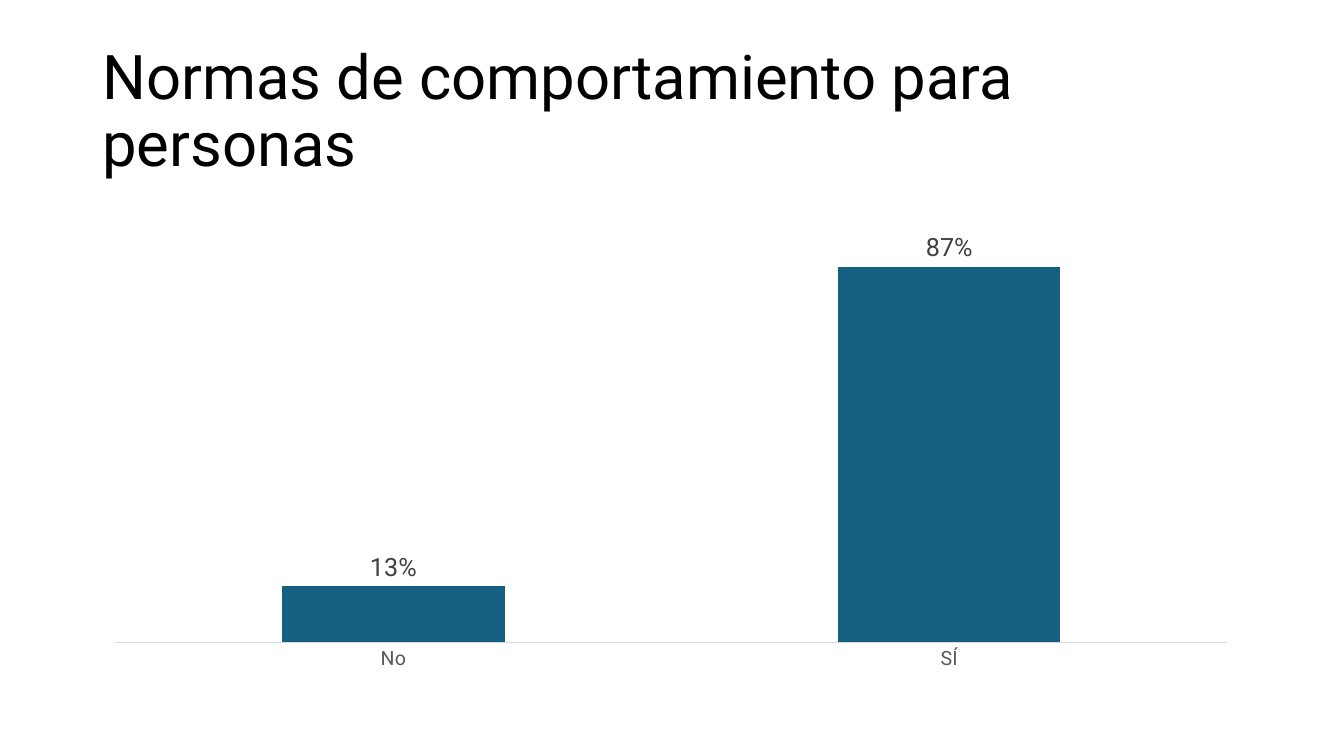
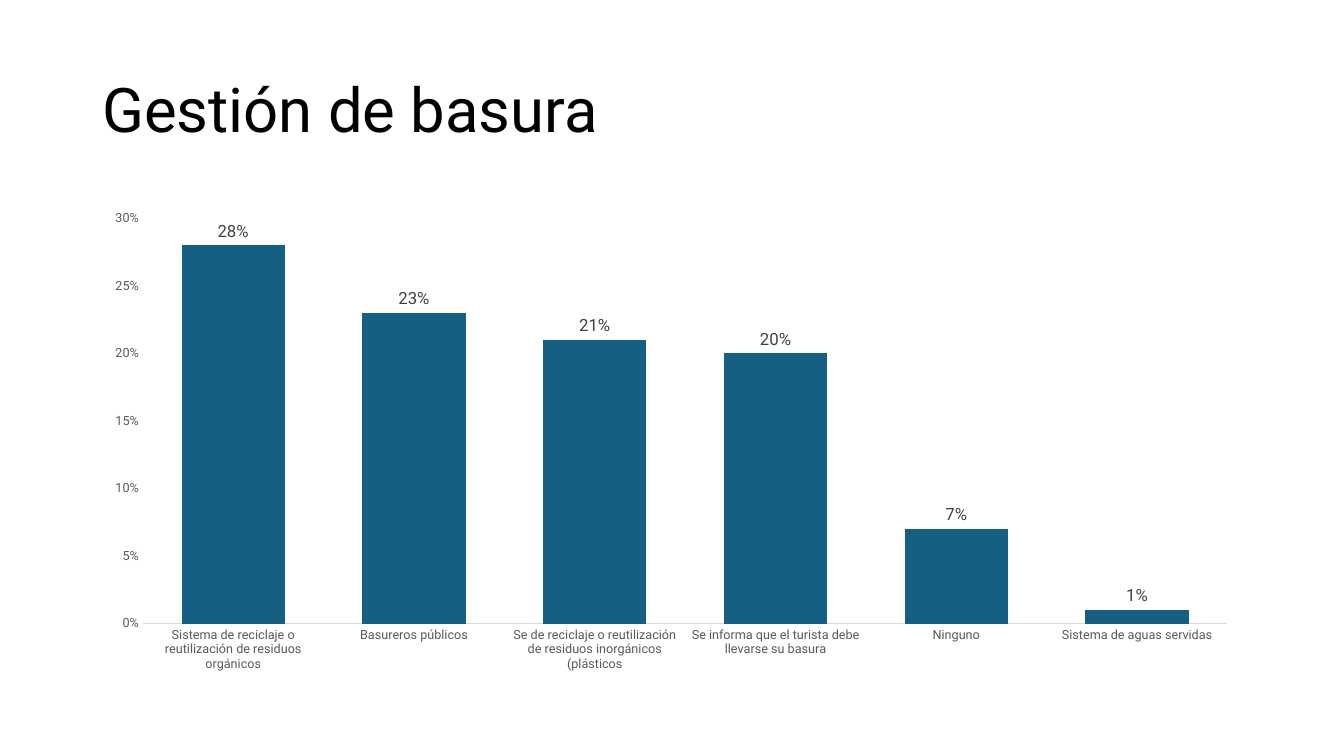
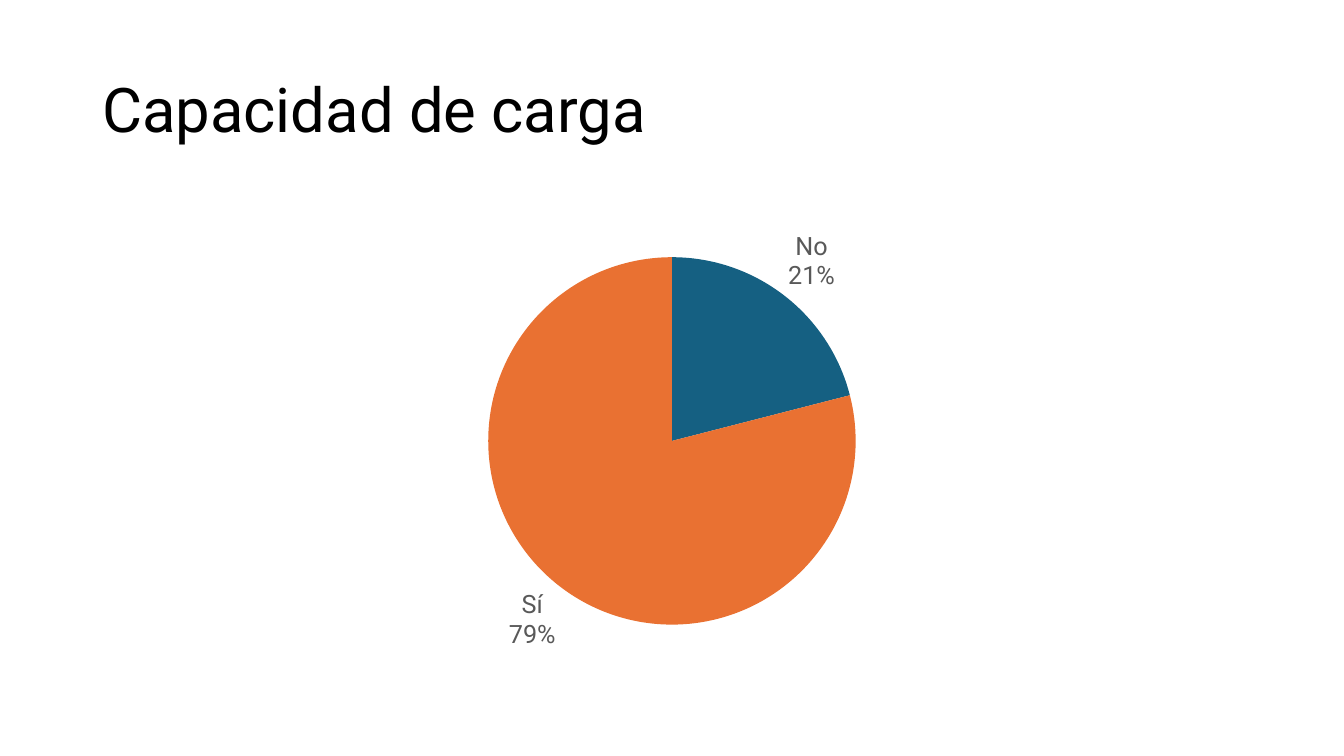
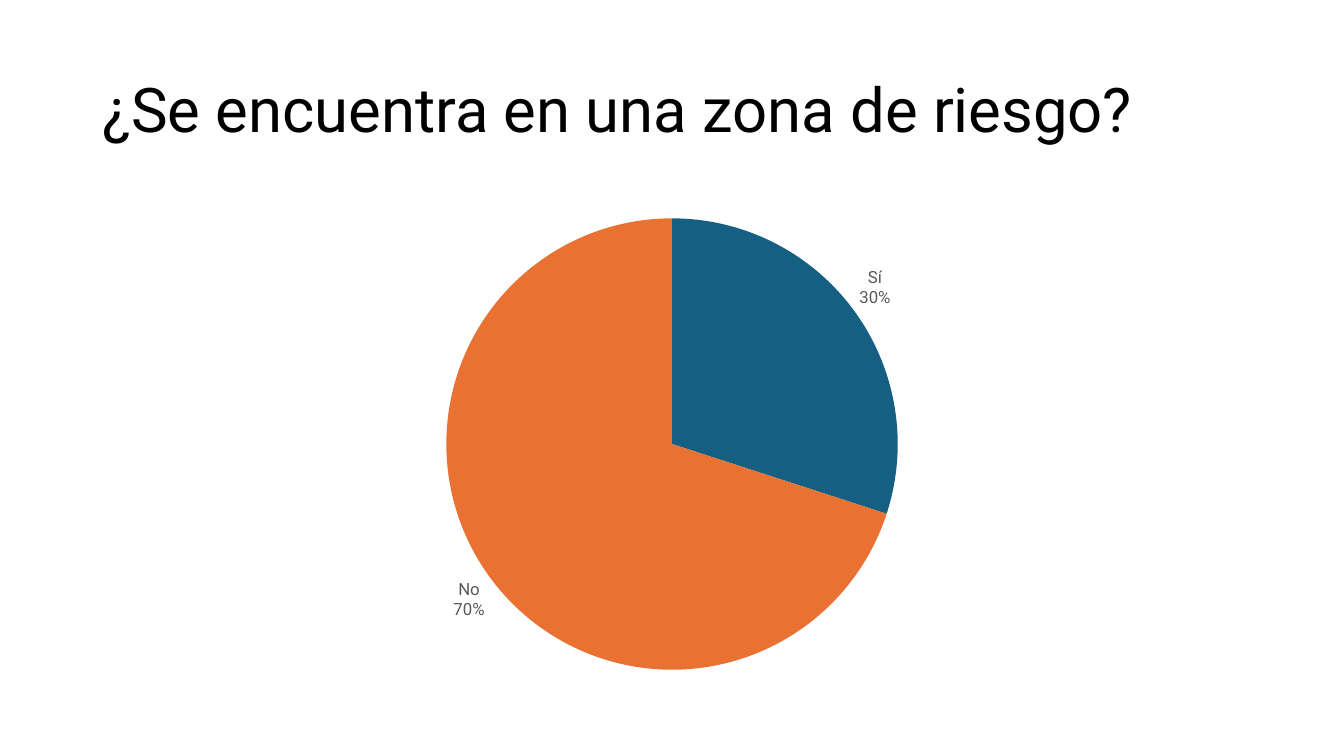
"""Build four survey result slides, each with a title and one chart."""
from pptx import Presentation
from pptx.chart.data import CategoryChartData
from pptx.dml.color import RGBColor
from pptx.enum.chart import XL_CHART_TYPE as Kind, XL_LABEL_POSITION as Spot, XL_TICK_MARK as Tick
from pptx.enum.text import MSO_ANCHOR as Anchor
from pptx.oxml import parse_xml
from pptx.oxml.ns import nsdecls, qn
from pptx.util import Pt

PX = 9525
FONT = "Roboto"
COLORS = {"black": "000000", "axis": "595959", "line": "D9D9D9",
          "value": "404040", "blue": "156082", "orange": "E97132"}
SLIDE = (1280, 720)
TITLE = (88, 38, 1104, 139)
CHART_LEFT, CHART_WIDTH, CHART_HEIGHT = 88, 1104, 457

PAGES = [
    {"title": "Normas de comportamiento para personas", "kind": Kind.COLUMN_CLUSTERED,
     "data": [("No", 0.13), ("SÍ", 0.87)],
     "top": 192, "plot": (110, 201, 1059, 411), "label_size": 18, "axis_size": 14,
     "gap": 150, "overlap": -25, "scale": (1, 0.2), "show_values": False},
    {"title": "Gestión de basura", "kind": Kind.COLUMN_CLUSTERED,
     "data": [("Sistema de reciclaje o reutilización de residuos orgánicos", 0.28),
              ("Basureros públicos", 0.23),
              ("Se de reciclaje o reutilización de residuos inorgánicos (plásticos", 0.21),
              ("Se informa que el turista debe llevarse su basura", 0.2),
              ("Ninguno", 0.07),
              ("Sistema de aguas servidas", 0.01)],
     "top": 192, "plot": (136, 208, 1033, 386), "label_size": 12, "axis_size": 9,
     "gap": 75, "overlap": 0, "scale": (0.3, 0.05), "show_values": True},
    {"title": "Capacidad de carga", "kind": Kind.PIE,
     "data": [("No", 21), ("Sí", 79)],
     "top": 192, "plot": (465, 245, 350, 350), "label_size": 18},
    {"title": "¿Se encuentra en una zona de riesgo?", "kind": Kind.PIE,
     "data": [("Sí", 30), ("No", 70)],
     "top": 194, "plot": (425, 208, 430, 430), "label_size": 12},
]


def emu(*lengths):
    return [length * PX for length in lengths]


def rgb(name):
    return RGBColor.from_string(COLORS[name])


def assign(target, **values):
    for name, value in values.items():
        setattr(target, name, value)


def style_font(font, size, color):
    assign(font, name=FONT, size=Pt(size), bold=False)
    font.color.rgb = rgb(color)


def paint(part, color):
    part.format.fill.solid()
    part.format.fill.fore_color.rgb = rgb(color)


def add_title(page, text):
    box = page.shapes.add_textbox(*emu(*TITLE))
    frame = box.text_frame
    assign(frame, word_wrap=True, vertical_anchor=Anchor.MIDDLE)
    para = frame.paragraphs[0]
    para.line_spacing = 0.9
    span = para.add_run()
    span.text = text
    style_font(span.font, 44, "black")


def place_plot(chart, top, plot):
    left, plot_top, width, height = plot
    parts = {"x": (left - CHART_LEFT) / CHART_WIDTH, "y": (plot_top - top) / CHART_HEIGHT,
             "w": width / CHART_WIDTH, "h": height / CHART_HEIGHT}
    modes = "".join(f'<c:{side}Mode val="edge"/>' for side in "xy")
    sizes = "".join(f'<c:{side} val="{value:.4f}"/>' for side, value in parts.items())
    area = chart.element.find(f".//{qn('c:plotArea')}")
    for layout in area.findall(qn("c:layout")):
        area.remove(layout)
    area.insert(0, parse_xml(
        f'<c:layout {nsdecls("c")}><c:manualLayout><c:layoutTarget val="inner"/>'
        f'{modes}{sizes}</c:manualLayout></c:layout>'))


def style_columns(chart, content):
    plot = chart.plots[0]
    assign(plot, gap_width=content["gap"], overlap=content["overlap"], vary_by_categories=False)
    paint(plot.series[0], "blue")
    maximum, step = content["scale"]
    assign(chart.value_axis, minimum_scale=0, maximum_scale=maximum, major_unit=step,
           has_major_gridlines=False, visible=content["show_values"])
    assign(chart.value_axis.tick_labels, number_format="0%", number_format_is_linked=False)
    chart.value_axis.format.line.fill.background()
    line = chart.category_axis.format.line
    line.width = Pt(0.75)
    line.color.rgb = rgb("line")
    for axis in (chart.category_axis, chart.value_axis):
        assign(axis, major_tick_mark=Tick.NONE, minor_tick_mark=Tick.NONE)
        style_font(axis.tick_labels.font, content["axis_size"], "axis")


def style_pie(chart, labels):
    plot = chart.plots[0]
    plot.vary_by_categories = True
    for index, color in enumerate(("blue", "orange")):
        point = plot.series[0].points[index]
        paint(point, color)
        point.format.line.fill.background()
    assign(labels, show_value=False, show_percentage=True, show_category_name=True)
    separator = parse_xml(f'<c:separator {nsdecls("c")}>\n</c:separator>')
    chart.element.find(f".//{qn('c:ser')}/{qn('c:dLbls')}/{qn('c:showBubbleSize')}").addnext(separator)


def add_chart(page, content):
    is_pie = content["kind"] == Kind.PIE
    data = CategoryChartData(number_format="0" if is_pie else "0%")
    names, values = zip(*content["data"])
    data.categories = names
    data.add_series("Series 1", values)
    frame = emu(CHART_LEFT, content["top"], CHART_WIDTH, CHART_HEIGHT)
    chart = page.shapes.add_chart(content["kind"], *frame, data).chart
    assign(chart, has_title=False, has_legend=False)
    style_font(chart.font, 10, "black")
    place_plot(chart, content["top"], content["plot"])
    labels = chart.plots[0].series[0].data_labels
    style_font(labels.font, content["label_size"], "axis" if is_pie else "value")
    assign(labels, number_format="0%", number_format_is_linked=False,
           position=Spot.OUTSIDE_END, show_value=True)
    if is_pie:
        style_pie(chart, labels)
    else:
        style_columns(chart, content)


def main():
    deck = Presentation()
    deck.slide_width, deck.slide_height = emu(*SLIDE)
    for content in PAGES:
        page = deck.slides.add_slide(deck.slide_layouts[6])
        add_title(page, content["title"])
        add_chart(page, content)
    deck.save("out.pptx")


if __name__ == "__main__":
    main()
